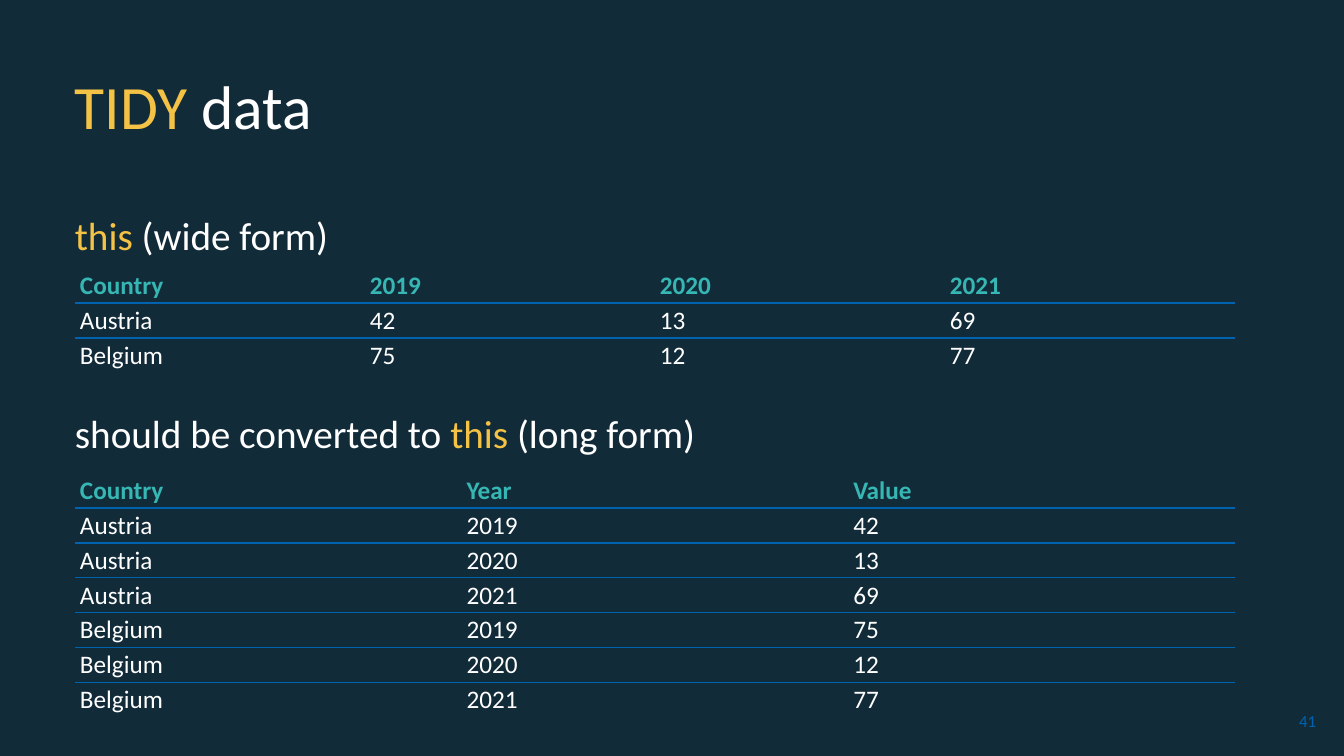
from lxml import etree
from pptx import Presentation
from pptx.dml.color import RGBColor
from pptx.enum.text import MSO_ANCHOR, PP_ALIGN
from pptx.oxml.ns import qn
from pptx.util import Emu, Pt

MIDDLE = MSO_ANCHOR.MIDDLE
TOP = MSO_ANCHOR.TOP
LEFT = PP_ALIGN.LEFT
RIGHT = PP_ALIGN.RIGHT

COLORS = {
    "background": "122B39",
    "text": "FFFFFF",
    "accent": "F4C245",
    "header": "36B7B4",
    "rule": "0063AF",
}
FONT = "Calibri"
PLAIN_TABLE_STYLE = "{2D5ABB26-0587-4C30-8999-92F81FD0307C}"
ROW_HEIGHT = 35
TABLE_LEFT = 75
TABLE_WIDTH = 1160

YEARS = ("2019", "2020", "2021")
VALUES = {"Austria": ("42", "13", "69"), "Belgium": ("75", "12", "77")}


def px(length):
    """Turn pixels into EMU."""
    return Emu(round(length * 914400 / 100.8))


def set_attributes(target, values):
    """Set every attribute in a dict of format values."""
    for name, value in values.items():
        setattr(target, name, value)


def add_spans(para, spans, size, bold=False):
    """Add coloured runs of text to a paragraph."""
    for text, color in spans:
        span = para.add_run()
        span.text = text
        set_attributes(span.font, {"name": FONT, "size": Pt(size), "bold": bold})
        span.font.color.rgb = RGBColor.from_string(COLORS[color])


def add_text(page, bounds, paragraphs, size, anchor=MIDDLE, **para_format):
    """Add a text box of (spans, space before) paragraphs."""
    box = page.shapes.add_textbox(*map(px, bounds))
    frame = box.text_frame
    set_attributes(frame, {"word_wrap": True, "vertical_anchor": anchor})
    for index, (spans, space) in enumerate(paragraphs):
        para = frame.add_paragraph() if index else frame.paragraphs[0]
        set_attributes(para, {"space_before": Pt(space), **para_format})
        add_spans(para, spans, size)


def add_border(cell, side):
    """Draw a thin rule on one side of a cell."""
    line = etree.Element(qn(f"a:{side}"), w=str(Pt(1)))
    fill = etree.SubElement(line, qn("a:solidFill"))
    etree.SubElement(fill, qn("a:srgbClr"), val=COLORS["rule"])
    cell._tc.get_or_add_tcPr().insert(0, line)


def add_table(page, top, rows):
    """Add a table with rules between its rows."""
    bounds = (TABLE_LEFT, top, TABLE_WIDTH, ROW_HEIGHT * len(rows))
    table = page.shapes.add_table(len(rows), len(rows[0]), *map(px, bounds)).table
    set_attributes(table, {"first_row": True, "horz_banding": False})
    table._tbl.tblPr.find(qn("a:tableStyleId")).text = PLAIN_TABLE_STYLE
    for column in table.columns:
        column.width = px(TABLE_WIDTH / len(rows[0]))
    cell_format = {
        "vertical_anchor": MIDDLE,
        "margin_left": px(5),
        "margin_right": px(5),
        "margin_top": px(2),
        "margin_bottom": px(2),
    }
    for row_index, row in enumerate(rows):
        table.rows[row_index].height = px(ROW_HEIGHT)
        is_header = row_index == 0
        for column_index, text in enumerate(row):
            cell = table.cell(row_index, column_index)
            set_attributes(cell, cell_format)
            cell.fill.background()
            if row_index < len(rows) - 1:
                add_border(cell, "lnB")
            if not is_header:
                add_border(cell, "lnT")
            color = "header" if is_header else "text"
            add_spans(cell.text_frame.paragraphs[0], [(text, color)], 18, is_header)


def main():
    """Build the slide on tidy data."""
    deck = Presentation()
    set_attributes(deck, {"slide_width": px(1344), "slide_height": px(756)})
    page = deck.slides.add_slide(deck.slide_layouts[6])
    page.background.fill.solid()
    page.background.fill.fore_color.rgb = RGBColor.from_string(COLORS["background"])

    title = [("TIDY ", "accent"), ("data", "text")]
    add_text(page, (65, 37, 1159, 146), [(title, 0)], 44, line_spacing=0.9)
    add_text(page, (1034, 701, 292, 40), [([("41", "rule")], 0)], 12, alignment=RIGHT)

    wide_heading = [("this ", "accent"), ("(wide form)", "text")]
    long_heading = [
        ("should be converted to ", "text"),
        ("this ", "accent"),
        ("(long form)", "text"),
    ]
    headings = [(wide_heading, 0), (long_heading, 91)]
    add_text(page, (65, 183, 1262, 480), headings, 28, TOP,
             alignment=LEFT, line_spacing=1.5)

    wide_rows = [(country, *values) for country, values in VALUES.items()]
    long_rows = [
        (country, year, value)
        for country, values in VALUES.items()
        for year, value in zip(YEARS, values)
    ]
    add_table(page, 268, [("Country", *YEARS), *wide_rows])
    add_table(page, 473, [("Country", "Year", "Value"), *long_rows])
    deck.save("out.pptx")


if __name__ == "__main__":
    main()
